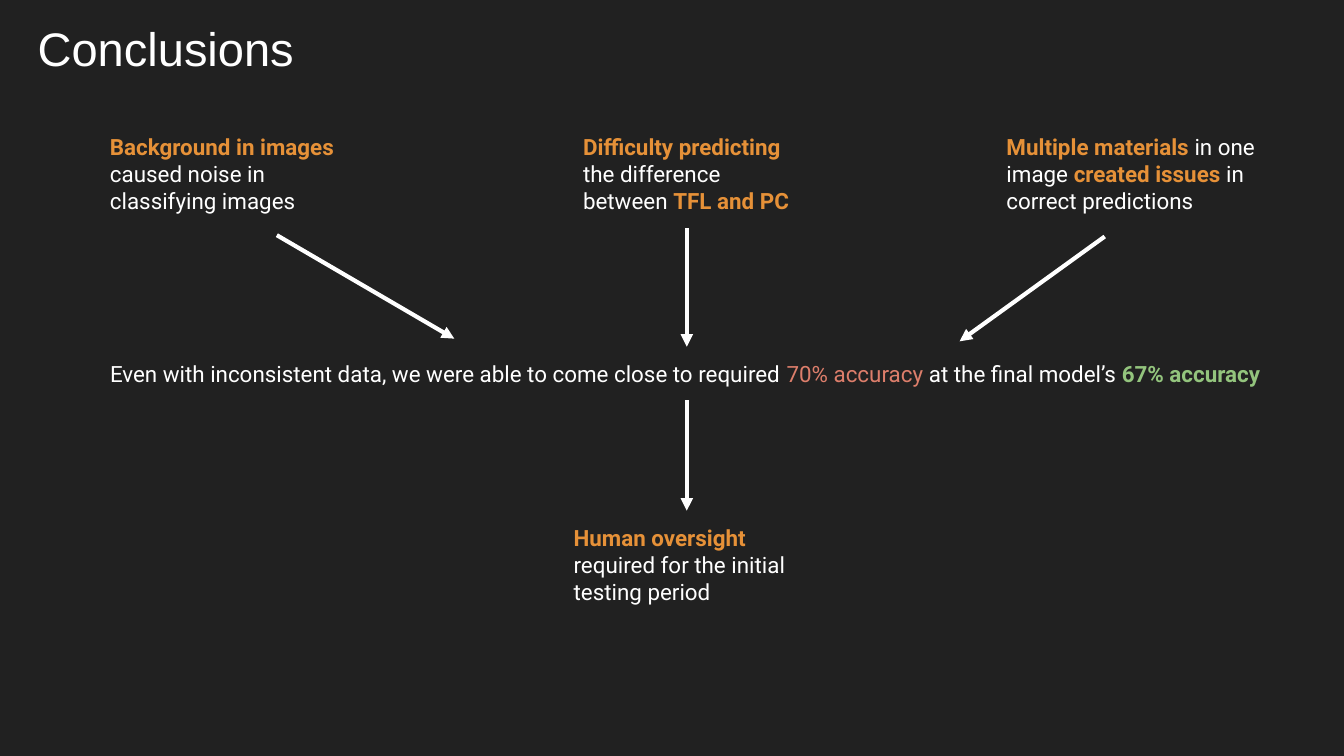
from lxml.etree import SubElement
from pptx import Presentation
from pptx.dml.color import RGBColor
from pptx.enum.shapes import MSO_CONNECTOR
from pptx.enum.text import MSO_ANCHOR, MSO_AUTO_SIZE, PP_ALIGN
from pptx.oxml.ns import qn
from pptx.util import Inches, Pt

DARK = RGBColor(0x21, 0x21, 0x21)
WHITE = RGBColor(0xFF, 0xFF, 0xFF)
ORANGE = RGBColor(0xE6, 0x91, 0x38)
RED = RGBColor(0xDD, 0x7E, 0x6B)
GREEN = RGBColor(0x93, 0xC4, 0x7D)

PLAIN = {"color": WHITE, "bold": False}
KEY = {"color": ORANGE, "bold": True}
TARGET = {"color": RED, "bold": False}
RESULT = {"color": GREEN, "bold": True}

TITLE = "Conclusions"
TITLE_AREA = (0.18, 0.04, 9.32, 0.63)
CAUSE_TOP, FINDING_TOP, ACTION_TOP = 0.89, 2.58, 3.8
NOTE_HEIGHT, FINDING_HEIGHT = 0.81, 0.4
CENTER = 5.11

# Each note: (left, top, width, height), then its spans
NOTES = [
    ((0.72, CAUSE_TOP, 1.87, NOTE_HEIGHT), [
        ("Background in images", KEY),
        (" caused noise in classifying images", PLAIN)]),
    ((4.24, CAUSE_TOP, 1.74, NOTE_HEIGHT), [
        ("Difficulty predicting ", KEY),
        ("the difference between ", PLAIN),
        ("TFL and PC", KEY)]),
    ((7.39, CAUSE_TOP, 2.11, NOTE_HEIGHT), [
        ("Multiple materials", KEY),
        (" in one image ", PLAIN),
        ("created issues", KEY),
        (" in correct predictions", PLAIN)]),
    ((0.72, FINDING_TOP, 8.78, FINDING_HEIGHT), [
        ("Even with inconsistent data, we were able to come close to required ", PLAIN),
        ("70% accuracy", TARGET),
        (" at the final model’s ", PLAIN),
        ("67% accuracy", RESULT)]),
    ((4.17, ACTION_TOP, 1.87, NOTE_HEIGHT), [
        ("Human oversight ", KEY),
        ("required for the initial testing period", PLAIN)]),
]

# Each arrow: start x, start y, end x, end y
ARROWS = [
    (2.06, 1.75, 3.38, 2.52),
    (CENTER, CAUSE_TOP + NOTE_HEIGHT, CENTER, FINDING_TOP),
    (8.22, 1.76, 7.14, 2.54),
    (CENTER, FINDING_TOP + FINDING_HEIGHT, CENTER, ACTION_TOP),
]


def format_frame(frame, anchor):
    settings = {"word_wrap": True, "auto_size": MSO_AUTO_SIZE.NONE,
                "vertical_anchor": anchor}
    for side in ("left", "top", "right", "bottom"):
        settings[f"margin_{side}"] = Inches(0.1)
    for name, value in settings.items():
        setattr(frame, name, value)


def add_span(para, text, font_name, size, color, bold=False):
    span = para.add_run()
    span.text = text
    for name, value in {"name": font_name, "size": Pt(size), "bold": bold}.items():
        setattr(span.font, name, value)
    span.font.color.rgb = color


def add_title(page):
    title = page.shapes.title
    for name, value in zip(("left", "top", "width", "height"), TITLE_AREA):
        setattr(title, name, Inches(value))
    format_frame(title.text_frame, MSO_ANCHOR.MIDDLE)
    para = title.text_frame.paragraphs[0]
    para.alignment = PP_ALIGN.LEFT
    add_span(para, TITLE, "Arial", 25.2, WHITE)


def add_note(page, area, spans):
    box = page.shapes.add_textbox(*map(Inches, area))
    format_frame(box.text_frame, MSO_ANCHOR.TOP)
    para = box.text_frame.paragraphs[0]
    for text, style in spans:
        add_span(para, text, "Roboto", 12, **style)


def add_arrow(page, ends):
    arrow = page.shapes.add_connector(MSO_CONNECTOR.STRAIGHT, *map(Inches, ends))
    arrow.line.color.rgb = WHITE
    arrow.line.width = Pt(2.25)
    SubElement(arrow.line._get_or_add_ln(), qn("a:tailEnd"), type="triangle")
    SubElement(arrow._element.spPr, qn("a:effectLst"))


def main():
    deck = Presentation()
    deck.slide_width = Inches(10)
    deck.slide_height = deck.slide_width * 9 // 16
    page = deck.slides.add_slide(deck.slide_layouts[5])
    page.background.fill.solid()
    page.background.fill.fore_color.rgb = DARK
    add_title(page)
    for area, spans in NOTES:
        add_note(page, area, spans)
    for ends in ARROWS:
        add_arrow(page, ends)
    deck.save("out.pptx")


if __name__ == "__main__":
    main()
